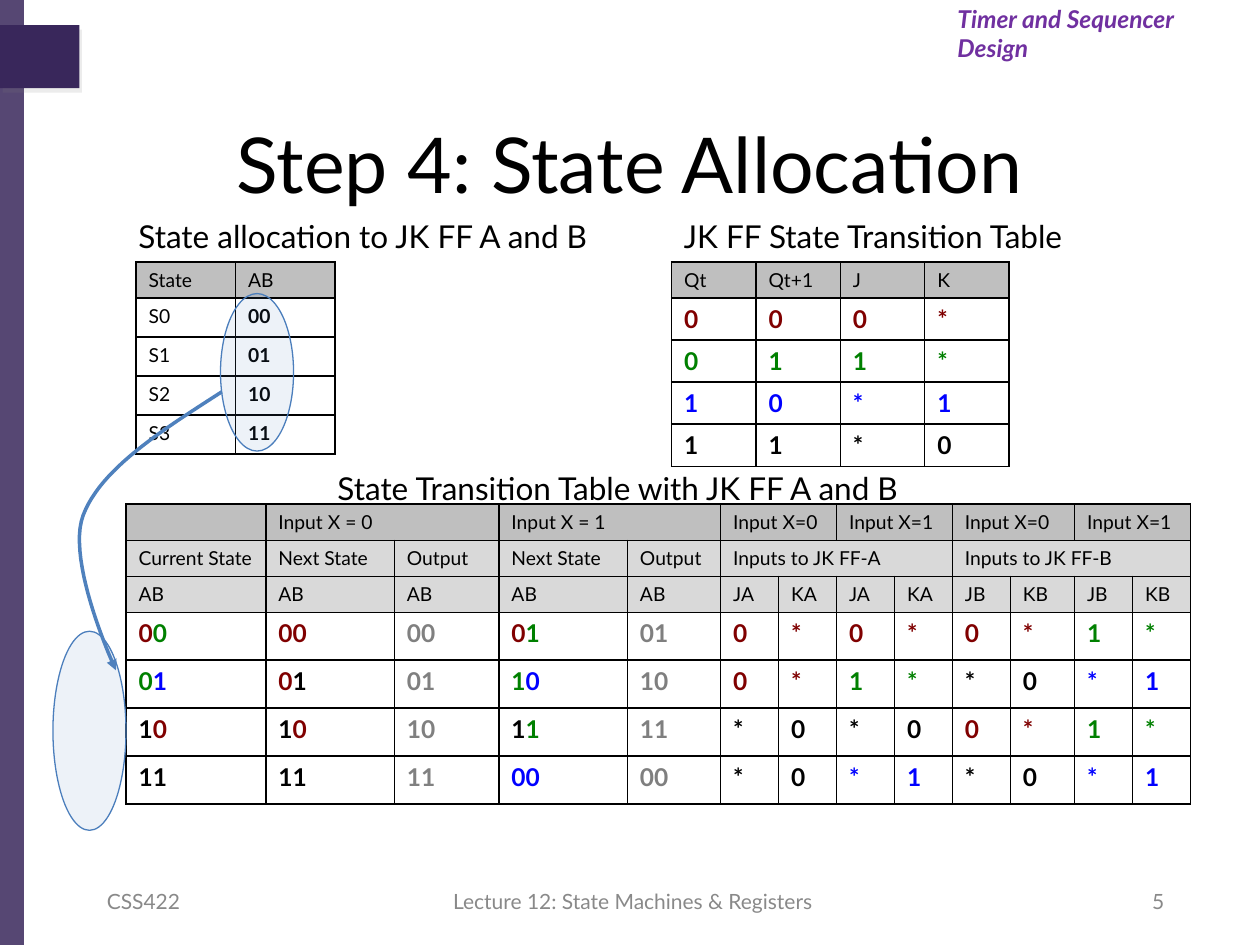
from dataclasses import dataclass
from itertools import takewhile
from lxml.etree import SubElement
from pptx import Presentation
from pptx.dml.color import RGBColor
from pptx.enum.shapes import MSO_SHAPE
from pptx.enum.text import MSO_ANCHOR, PP_ALIGN
from pptx.oxml.ns import qn
from pptx.util import Inches, Pt


@dataclass(frozen=True)
class Theme:
    font: str = "Lato"
    plum: str = "39275B"
    shade: str = "808080"
    violet: str = "7030A0"
    black: str = "000000"
    foot: str = "898989"
    blue: str = "4F81BD"
    edge: str = "4B7EBC"
    head: str = "BFBFBF"
    subhead: str = "D9D9D9"
    title: int = 44
    label: int = 18
    large: int = 14
    note: int = 12
    small: int = 11


@dataclass(frozen=True)
class Pen:
    tint: str
    bold: bool = True


@dataclass(frozen=True)
class Note:
    text: str
    box: tuple
    size: int
    tint: str
    align: PP_ALIGN = PP_ALIGN.LEFT
    anchor: MSO_ANCHOR = MSO_ANCHOR.TOP
    strong: bool = False


@dataclass(frozen=True)
class Grid:
    spot: tuple
    cols: list
    rows: list
    heads: list
    body: list
    size: int


LOOK = Theme()
PENS = {
    "p": Pen(LOOK.black, False),
    "k": Pen(LOOK.black),
    "r": Pen("800000"),
    "g": Pen("008000"),
    "b": Pen("0000FF"),
    "x": Pen("808080"),
    "y": Pen("7F7F7F"),
}
MID = MSO_ANCHOR.MIDDLE
NOTES = [
    Note("CSS422", (0.75, 6.95, 2.33, 0.4), LOOK.note, LOOK.foot, anchor=MID),
    Note("Lecture 12: State Machines & Registers ", (3.46, 6.95, 3.17, 0.4),
         LOOK.note, LOOK.foot, PP_ALIGN.CENTER, MID),
    Note("5", (7.01, 6.95, 2.33, 0.4), LOOK.note, LOOK.foot, PP_ALIGN.RIGHT, MID),
    Note("State allocation to JK FF A and B", (1, 1.67, 3.89, 0.4), LOOK.label, LOOK.black),
    Note("JK FF State Transition Table", (5.33, 1.67, 3.37, 0.4), LOOK.label, LOOK.black),
    Note("State Transition Table with JK FF A and B", (2.58, 3.67, 4.83, 0.4),
         LOOK.label, LOOK.black),
    Note("Timer and Sequencer Design", (7.5, -0.02, 2.51, 0.34), LOOK.large, LOOK.violet,
         strong=True),
]
GRIDS = [
    Grid((1, 4), [1.11, 1.02, 0.83, 1.02, 0.74] + [0.46] * 5 + [0.51, 0.46, 0.46],
         [0.28, 0.28, 0.28] + [0.38] * 4,
         ["|Input X = 0|<|Input X = 1|<" + "|Input X=0|<|Input X=1|<" * 2,
          "Current State" + "|Next State|Output" * 2
          + "|Inputs to JK FF-A|<|<|<|Inputs to JK FF-B|<|<|<",
          "AB|AB|AB|AB|AB" + "|JA|KA" * 2 + "|JB|KB" * 2],
         ["r0/g0 r00 x00 r0/g1 y01 r0 r* r0 r* r0 r* g1 g*",
          "g0/b1 r0/k1 x01 g1/b0 y10 r0 r* g1 g* k* k0 b* b1",
          "k1/r0 k1/r0 x10 k1/g1 y11 k* k0 k* k0 r0 r* g1 g*",
          "k11 k11 x11 b00 y00 k* k0 b* b1 k* k0 b* b1"],
         LOOK.large),
    Grid((5.33, 2.08), [0.67] * 4, [0.28] + [0.33] * 4, ["Qt|Qt+1|J|K"],
         ["r0 r0 r0 r*", "g0 g1 g1 g*", "b1 b0 b* b1", "k1 k1 k* k0"], LOOK.large),
    Grid((1.08, 2.08), [0.79] * 2, [0.28] + [0.31] * 4, ["State|AB"],
         ["pS0 k00", "pS1 k01", "pS2 k10", "pS3 k11"], LOOK.small),
]
CURVES = [
    [(1.76, 3.11), (1.28, 3.42), (0.8, 3.72), (0.66, 4.09)],
    [(0.66, 4.09), (0.52, 4.46), (0.92, 5.32), (0.92, 5.32)],
]


def ink(font, size: int, tint: str, bold: bool = False, slant: bool = False) -> None:
    font.name, font.size = LOOK.font, Pt(size)
    font.bold, font.italic = bold, slant
    font.color.rgb = RGBColor.from_string(tint)


def write(slide, note: Note) -> None:
    frame = slide.shapes.add_textbox(*map(Inches, note.box)).text_frame
    frame.word_wrap = True
    frame.vertical_anchor = note.anchor
    frame.text = note.text
    line = frame.paragraphs[0]
    line.alignment = note.align
    ink(line.runs[0].font, note.size, note.tint, note.strong, note.strong)


def fade(node, share: int) -> None:
    tint = next(node.iter(qn("a:srgbClr")))
    SubElement(tint, qn("a:alpha"), val=str(share * 1000))


def block(slide, kind: MSO_SHAPE, box: tuple, tint: str, share: int = 100, edge: str = ""):
    shape = slide.shapes.add_shape(kind, *map(Inches, box))
    shape.shadow.inherit = False
    shape.fill.solid()
    shape.fill.fore_color.rgb = RGBColor.from_string(tint)
    if share < 100:
        fade(shape.element, share)
    if edge:
        shape.line.color.rgb = RGBColor.from_string(edge)
        shape.line.width = Pt(0.75)
    else:
        shape.line.fill.background()
    return shape


def shadow(shape) -> None:
    effects = next(shape.element.iter(qn("a:effectLst")))
    cast = SubElement(effects, qn("a:outerShdw"), dist=str(Pt(3)), dir="3600000",
                      algn="tl", rotWithShape="0")
    SubElement(cast, qn("a:srgbClr"), val=LOOK.shade)
    fade(cast, 15)


def frame_cell(cell) -> None:
    props = cell._tc.get_or_add_tcPr()
    for side in ("lnL", "lnR", "lnT", "lnB"):
        line = SubElement(props, qn("a:" + side), w=str(Pt(1)))
        SubElement(SubElement(line, qn("a:solidFill")), qn("a:srgbClr"), val=LOOK.black)


def fill_cell(cell, marks: list, size: int, back: str = "") -> None:
    frame_cell(cell)
    if back:
        cell.fill.solid()
        cell.fill.fore_color.rgb = RGBColor.from_string(back)
    else:
        cell.fill.background()
    line = cell.text_frame.paragraphs[0]
    for mark in marks:
        run = line.add_run()
        run.text = mark[1:]
        pen = PENS[mark[0]]
        ink(run.font, size, pen.tint, pen.bold)
    if not marks:
        SubElement(line._p, qn("a:endParaRPr"), sz=str(size * 100))


def draw_grid(slide, grid: Grid) -> None:
    box = (*grid.spot, sum(grid.cols), sum(grid.rows))
    table = slide.shapes.add_table(len(grid.rows), len(grid.cols), *map(Inches, box)).table
    table.first_row = table.horz_banding = False
    for col, width in zip(table.columns, grid.cols):
        col.width = Inches(width)
    for row, height in zip(table.rows, grid.rows):
        row.height = Inches(height)
    for y, head in enumerate(grid.heads):
        words = head.split("|")
        for x, word in enumerate(words):
            marks = ["p" + word] if word not in ("", "<") else []
            fill_cell(table.cell(y, x), marks, LOOK.small, LOOK.subhead if y else LOOK.head)
            span = len(list(takewhile(lambda w: w == "<", words[x + 1:])))
            if span and word != "<":
                table.cell(y, x).merge(table.cell(y, x + span))
    for y, text in enumerate(grid.body, len(grid.heads)):
        for x, word in enumerate(text.split()):
            fill_cell(table.cell(y, x), word.split("/"), grid.size)


def bend(knots: list, t: float) -> tuple:
    parts = ((1 - t) ** 3, 3 * t * (1 - t) ** 2, 3 * t * t * (1 - t), t ** 3)
    return tuple(Inches(sum(p * k[axis] for p, k in zip(parts, knots))) for axis in (0, 1))


def arrow(slide, curves: list, steps: int = 24) -> None:
    dots = [bend(knots, i / steps) for knots in curves for i in range(1, steps + 1)]
    pen = slide.shapes.build_freeform(*bend(curves[0], 0))
    pen.add_line_segments(dots, close=False)
    shape = pen.convert_to_shape()
    shape.shadow.inherit = False
    shape.fill.background()
    shape.line.color.rgb = RGBColor.from_string(LOOK.blue)
    shape.line.width = Pt(2)
    SubElement(next(shape.element.iter(qn("a:ln"))), qn("a:tailEnd"), type="triangle")


def main() -> None:
    deck = Presentation()
    deck.slide_width, deck.slide_height = Inches(10), Inches(7.5)
    slide = deck.slides.add_slide(deck.slide_layouts[5])
    block(slide, MSO_SHAPE.RECTANGLE, (0, 0, 0.19, 7.5), LOOK.plum, 85)
    shadow(block(slide, MSO_SHAPE.RECTANGLE, (0, 0.2, 0.63, 0.5), LOOK.plum))
    title = slide.shapes.title
    title.left, title.top, title.width, title.height = map(Inches, (0.5, 0.83, 9, 0.92))
    title.text_frame.text = "Step 4: State Allocation"
    ink(title.text_frame.paragraphs[0].runs[0].font, LOOK.title, LOOK.black)
    for grid in GRIDS:
        draw_grid(slide, grid)
    for note in NOTES:
        write(slide, note)
    for box in ((1.75, 2.33, 0.58, 1.25), (0.42, 5.01, 0.58, 1.58)):
        block(slide, MSO_SHAPE.OVAL, box, LOOK.blue, 10, LOOK.edge)
    arrow(slide, CURVES)
    deck.save("out.pptx")


if __name__ == "__main__":
    main()
